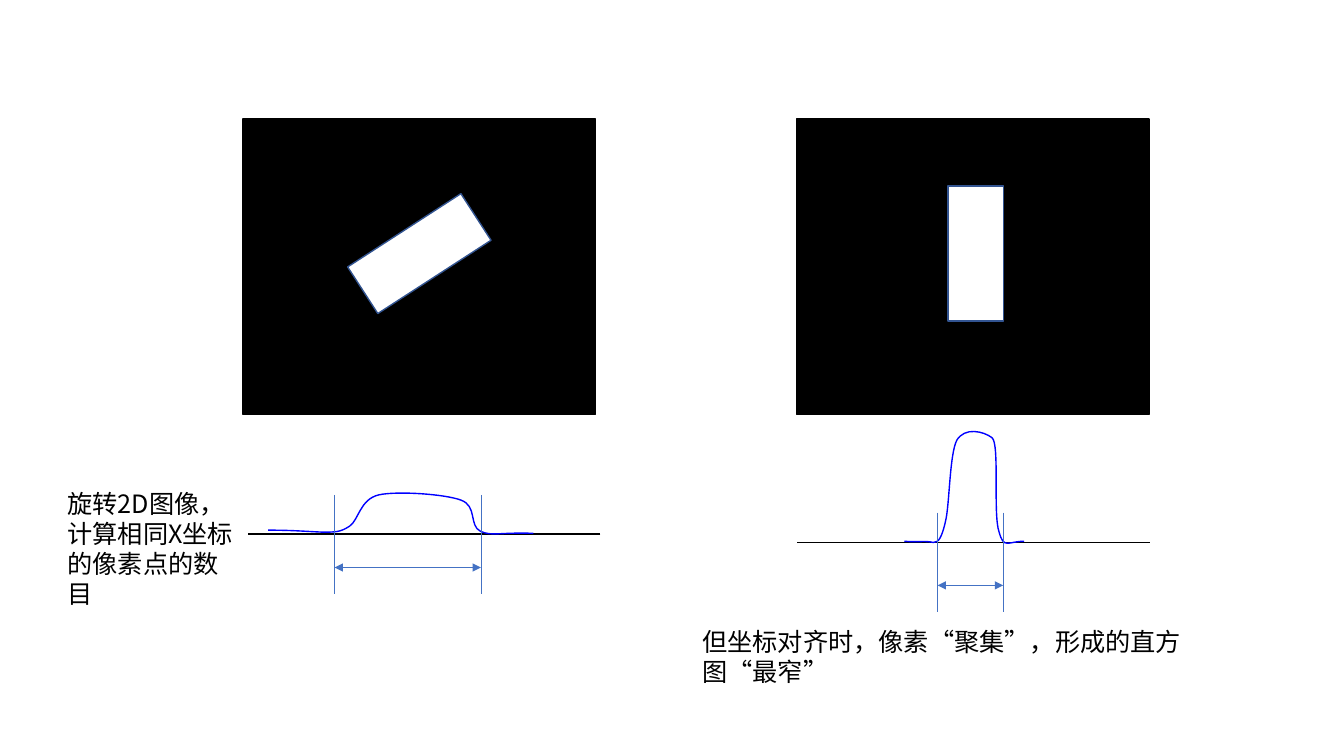
from dataclasses import dataclass

from lxml import etree
from pptx import Presentation
from pptx.dml.color import RGBColor
from pptx.enum.shapes import MSO_CONNECTOR, MSO_SHAPE
from pptx.oxml.ns import qn
from pptx.util import Cm, Pt

RECTANGLE = MSO_SHAPE.RECTANGLE
STRAIGHT = MSO_CONNECTOR.STRAIGHT
BLANK_LAYOUT = 6


@dataclass(frozen=True)
class Theme:
    black: RGBColor = RGBColor(0, 0, 0)
    white: RGBColor = RGBColor(255, 255, 255)
    outline: RGBColor = RGBColor.from_string("325491")
    curve: RGBColor = RGBColor.from_string("0000FF")
    measure: RGBColor = RGBColor.from_string("4472C4")
    font: str = "Noto Sans CJK SC"
    text_size: float = 18
    line_spacing: float = 21.6
    line_width: float = 1
    measure_width: float = 0.5


THEME = Theme()


@dataclass(frozen=True)
class Histogram:
    angle: float
    center_x: float
    axis_x: float
    axis_y: float
    bounds: tuple
    bounds_top: float
    curve: tuple


ROTATED = Histogram(
    angle=327.1, center_x=4.45, axis_x=0.12, axis_y=10.46,
    bounds=(2.31, 6), bounds_top=9.47,
    curve=(
        (7.32, 10.44),
        (6.43, 10.41), (6.30, 10.52), (5.99, 10.39),
        (5.69, 10.24), (5.92, 9.75), (5.49, 9.60),
        (5.08, 9.45), (3.89, 9.37), (3.43, 9.47),
        (2.95, 9.58), (2.92, 10.11), (2.69, 10.26),
        (2.46, 10.41), (2.34, 10.41), (2.01, 10.41),
        (1.55, 10.39), (1.24, 10.36), (0.64, 10.36),
    ),
)

ALIGNED = Histogram(
    angle=270, center_x=4.52, axis_x=0.02, axis_y=10.67,
    bounds=(3.56, 5.21), bounds_top=9.92,
    curve=(
        (5.74, 10.64),
        (5.33, 10.64), (5.23, 10.85), (5.11, 10.41),
        (4.95, 9.98), (5.13, 8.18), (4.93, 8.03),
        (4.72, 7.87), (4.24, 7.75), (4.04, 8.10),
        (3.86, 8.46), (3.86, 9.73), (3.76, 10.13),
        (3.66, 10.57), (3.58, 10.67), (3.45, 10.67),
        (3.25, 10.62), (3.07, 10.67), (2.72, 10.64),
    ),
)


def add_rectangle(slide, left, top, width, height, fill, outline):
    shape = slide.shapes.add_shape(RECTANGLE, Cm(left), Cm(top), Cm(width), Cm(height))
    shape.shadow.inherit = False
    shape.fill.solid()
    shape.fill.fore_color.rgb = fill
    shape.line.color.rgb = outline
    shape.line.width = Pt(THEME.line_width)
    return shape


def add_line(slide, start, end, color, width, arrows=False):
    connector = slide.shapes.add_connector(
        STRAIGHT, Cm(start[0]), Cm(start[1]), Cm(end[0]), Cm(end[1]))
    connector.line.color.rgb = color
    connector.line.width = Pt(width)
    if arrows:
        line = connector.line._get_or_add_ln()
        for tag in ("a:headEnd", "a:tailEnd"):
            etree.SubElement(line, qn(tag), type="triangle")
    etree.SubElement(connector._element.spPr, qn("a:effectLst"))


def bend_segments(shape):
    outline = next(shape._element.iter(qn("a:path")))
    segments = outline.findall(qn("a:lnTo"))
    for first in range(0, len(segments), 3):
        bezier = etree.SubElement(outline, qn("a:cubicBezTo"))
        for segment in segments[first:first + 3]:
            bezier.append(segment[0])
            outline.remove(segment)


def add_curve(slide, left, top, anchors):
    points = [(Cm(left + x), Cm(top + y)) for x, y in anchors]
    builder = slide.shapes.build_freeform(*points[0])
    builder.add_line_segments(points[1:], close=False)
    shape = builder.convert_to_shape()
    bend_segments(shape)
    shape.shadow.inherit = False
    shape.fill.background()
    shape.line.color.rgb = THEME.curve
    shape.line.width = Pt(THEME.line_width)


def add_histogram_panel(slide, left, top, width, height, histogram):
    add_rectangle(slide, left, top, width, height, THEME.black, THEME.black)
    bar_width, bar_height, center_y = 3.4, 1.4, 3.39
    bar = add_rectangle(
        slide, left + histogram.center_x - bar_width / 2, top + center_y - bar_height / 2,
        bar_width, bar_height, THEME.white, THEME.outline)
    bar.rotation = histogram.angle

    axis_left, axis_y = left + histogram.axis_x, top + histogram.axis_y
    add_line(slide, (axis_left + width, axis_y), (axis_left, axis_y),
             THEME.black, THEME.line_width)
    add_curve(slide, left, top, histogram.curve)

    bounds = [left + bound for bound in histogram.bounds]
    bounds_top = top + histogram.bounds_top
    for bound in bounds:
        add_line(slide, (bound, bounds_top), (bound, bounds_top + 2.49),
                 THEME.measure, THEME.measure_width)
    arrow_y = bounds_top + 1.83
    add_line(slide, (bounds[0], arrow_y), (bounds[1], arrow_y),
             THEME.measure, THEME.measure_width, arrows=True)


def add_caption(slide, left, top, width, height, text):
    text_box = slide.shapes.add_textbox(Cm(left), Cm(top), Cm(width), Cm(height))
    text_frame = text_box.text_frame
    text_frame.word_wrap = True
    text_frame.text = text
    paragraph = text_frame.paragraphs[0]
    paragraph.line_spacing = Pt(THEME.line_spacing)
    run = paragraph.runs[0]
    run.font.size = Pt(THEME.text_size)
    run.font.color.rgb = THEME.black
    run.font.name = THEME.font
    properties = run._r.get_or_add_rPr()
    properties.set("lang", "zh-CN")
    etree.SubElement(properties, qn("a:ea"), typeface=THEME.font)


def main():
    presentation = Presentation()
    presentation.slide_width = Cm(33.87)
    presentation.slide_height = Cm(19.05)
    slide = presentation.slides.add_slide(presentation.slide_layouts[BLANK_LAYOUT])
    for left, histogram in ((6.12, ROTATED), (20.07, ALIGNED)):
        add_histogram_panel(slide, left, 3, 8.89, 7.44, histogram)
    add_caption(slide, 1.45, 12.17, 4.94, 2.57, "旋转2D图像，计算相同X坐标的像素点的数目")
    add_caption(slide, 17.45, 15.65, 14.25, 1.02,
                "但坐标对齐时，像素“聚集”，形成的直方图“最窄”")
    presentation.save("out.pptx")


if __name__ == "__main__":
    main()
